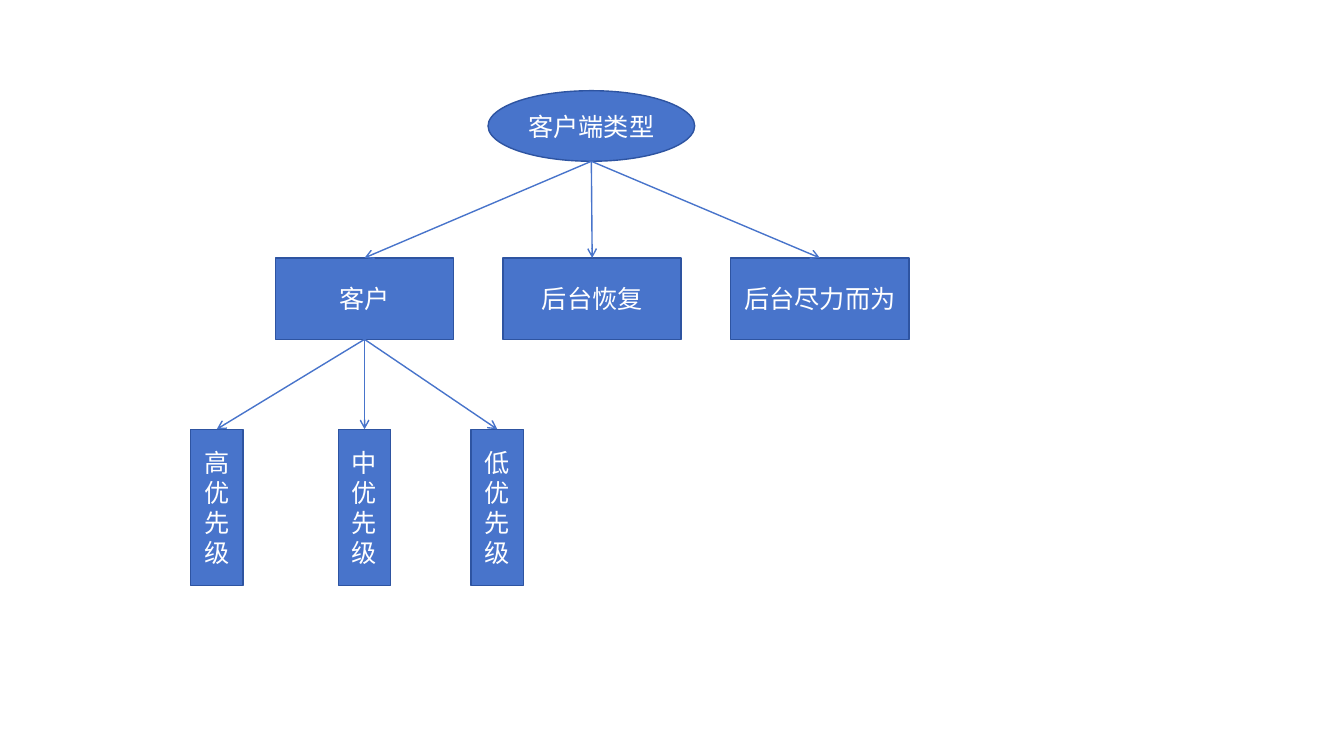
"""Draw a tree of client types on a grid of 160 columns by 90 rows."""
from dataclasses import dataclass

import pptx
import pptx.dml.color
import pptx.enum.shapes
import pptx.enum.text
import pptx.oxml.ns
import pptx.util
from lxml import etree
from pptx.presentation import Presentation
from pptx.slide import Slide

COLORS = {"fill": "4874CB", "border": "2E54A1", "text": "FFFFFF"}
FONT = "Calibri"
CELL = pptx.util.Inches(7.5) / 90
MSO = pptx.enum.shapes.MSO_SHAPE


@dataclass(frozen=True)
class Level:
    """Form, top row and size shared by the nodes of one tree level."""
    kind: MSO
    row: float
    cols: float
    rows: float


@dataclass(frozen=True)
class Node:
    """A labelled node centred on a column."""
    text: str
    level: Level
    col: float
    parent: str = ""


ROOT = Level(MSO.OVAL, 10.8, 24.6, 8.4)
TYPE = Level(MSO.RECTANGLE, 30.7, 21.2, 9.7)
PRIORITY = Level(MSO.RECTANGLE, 51.1, 6.25, 18.6)

NODES = [
    Node("客户端类型", ROOT, 70.4),
    *(Node(text, TYPE, 43.4 + 27.1 * i, "客户端类型")
      for i, text in enumerate(["客户", "后台恢复", "后台尽力而为"])),
    Node("高优先级", PRIORITY, 25.8, "客户"),
    Node("中优先级", PRIORITY, 43.4, "客户"),
    Node("低优先级", PRIORITY, 59.2, "客户"),
]


def cells(count: float) -> pptx.util.Emu:
    """Turn a count of grid cells into a length."""
    return pptx.util.Emu(round(count * CELL))


def rgb(name: str) -> pptx.dml.color.RGBColor:
    """Look up a named colour."""
    return pptx.dml.color.RGBColor.from_string(COLORS[name])


def draw_node(s: Slide, node: Node) -> None:
    """Draw a node with its centred label."""
    level = node.level
    sp = s.shapes.add_shape(level.kind, cells(node.col - level.cols / 2), cells(level.row),
                            cells(level.cols), cells(level.rows))
    sp.shadow.inherit = False
    sp.fill.solid()
    sp.fill.fore_color.rgb = rgb("fill")
    sp.line.color.rgb = rgb("border")
    sp.line.width = pptx.util.Pt(1)
    tf = sp.text_frame
    tf.text = node.text
    tf.word_wrap = True
    tf.vertical_anchor = pptx.enum.text.MSO_ANCHOR.MIDDLE
    p = tf.paragraphs[0]
    p.alignment = pptx.enum.text.PP_ALIGN.CENTER
    r = p.runs[0]
    r.font.name = FONT
    r.font.size = pptx.util.Pt(18)
    r.font.color.rgb = rgb("text")


def draw_arrow(s: Slide, parent: Node, child: Node) -> None:
    """Link the bottom of a parent to the top of a child."""
    cxn = s.shapes.add_connector(
        pptx.enum.shapes.MSO_CONNECTOR.STRAIGHT,
        cells(parent.col), cells(parent.level.row + parent.level.rows),
        cells(child.col), cells(child.level.row))
    cxn.line.color.rgb = rgb("fill")
    cxn.line.width = pptx.util.Pt(1)
    qn = pptx.oxml.ns.qn
    sp_pr = cxn._element.spPr
    etree.SubElement(sp_pr.find(qn("a:ln")), qn("a:tailEnd"), type="arrow")
    etree.SubElement(sp_pr, qn("a:effectLst"))


def main() -> None:
    """Build and save the slide."""
    prs: Presentation = pptx.Presentation()
    prs.slide_width, prs.slide_height = cells(160), cells(90)
    s = prs.slides.add_slide(prs.slide_layouts[6])
    by_text = {node.text: node for node in NODES}
    for node in NODES:
        draw_node(s, node)
        if node.parent:
            draw_arrow(s, by_text[node.parent], node)
    prs.save("out.pptx")


if __name__ == "__main__":
    main()
